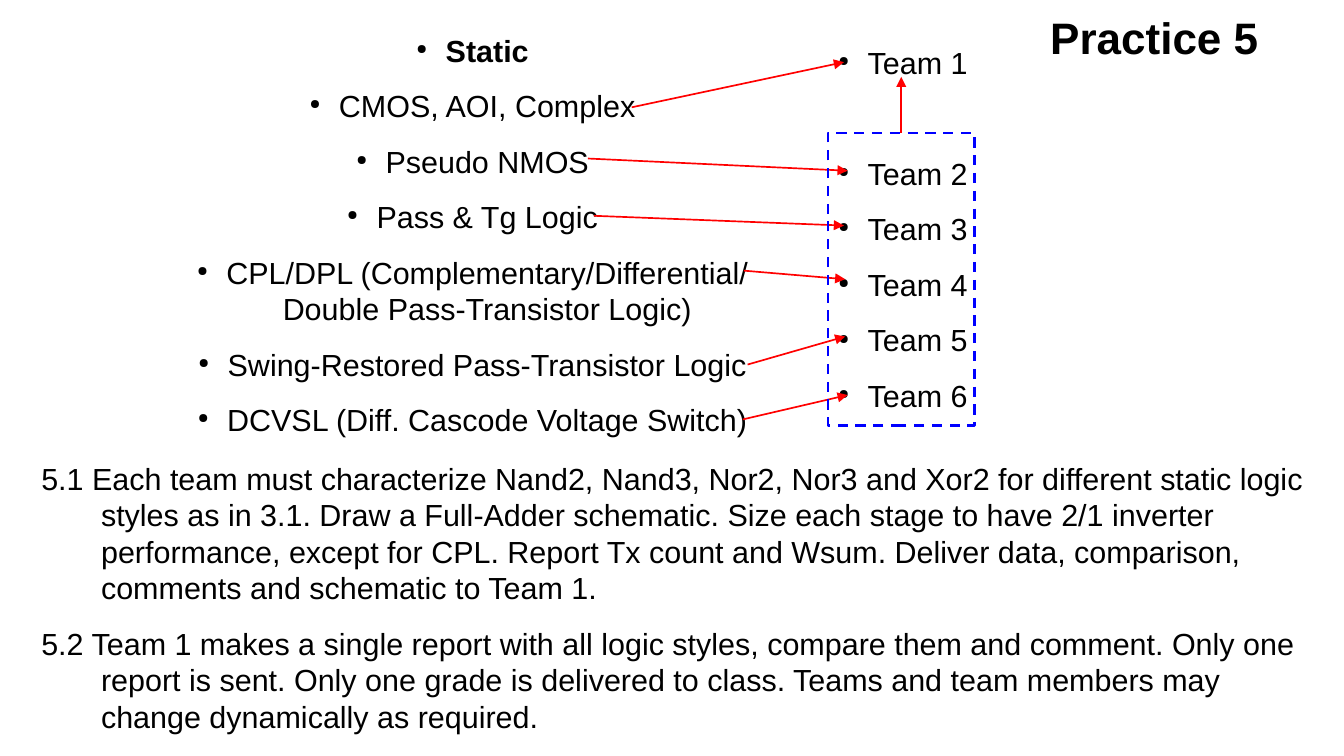
from lxml import etree
from pptx import Presentation
from pptx.dml.color import RGBColor
from pptx.enum.dml import MSO_LINE
from pptx.enum.shapes import MSO_CONNECTOR, MSO_SHAPE
from pptx.enum.text import MSO_ANCHOR, MSO_AUTO_SIZE, PP_ALIGN
from pptx.oxml.ns import qn
from pptx.util import Inches, Pt

STRAIGHT = MSO_CONNECTOR.STRAIGHT
RECTANGLE = MSO_SHAPE.RECTANGLE
DASH = MSO_LINE.DASH
CENTER, LEFT, RIGHT = PP_ALIGN.CENTER, PP_ALIGN.LEFT, PP_ALIGN.RIGHT
MIDDLE = MSO_ANCHOR.MIDDLE
NO_FIT = MSO_AUTO_SIZE.NONE

COLORS = {"text": "000000", "arrow": "FF0000", "frame": "0000FF"}
FONT = "Arial"
LINE_HEIGHT = 21.6
GAP = 11.2

deck = Presentation()
deck.slide_width = Inches(11.02)
deck.slide_height = Inches(6.2)
page = deck.slides.add_slide(deck.slide_layouts[5])


def add_text(bounds, lines, indent, bulleted):
    box = page.shapes.add_textbox(*map(Inches, bounds))
    frame = box.text_frame
    frame.word_wrap = True
    for index, (text, bold, space) in enumerate(lines):
        para = frame.paragraphs[0] if index == 0 else frame.add_paragraph()
        para.alignment = CENTER if bulleted else LEFT
        para.line_spacing = Pt(LINE_HEIGHT)
        para.space_before = Pt(space)
        properties = para._p.get_or_add_pPr()
        properties.set("marL", str(Inches(indent)))
        properties.set("indent", str(-Inches(indent)))
        if bulleted:
            color = etree.SubElement(properties, qn("a:buClr"))
            etree.SubElement(color, qn("a:srgbClr"), val=COLORS["text"])
            etree.SubElement(properties, qn("a:buSzPct"), val="45000")
            etree.SubElement(properties, qn("a:buChar"), char="●")
        span = para.add_run()
        span.text = text
        span.font.name = FONT
        span.font.size = Pt(18)
        span.font.bold = bold
        span.font.color.rgb = RGBColor.from_string(COLORS["text"])


def add_arrow(start_x, start_y, end_x, end_y):
    arrow = page.shapes.add_connector(
        STRAIGHT, Inches(start_x), Inches(start_y), Inches(end_x), Inches(end_y))
    arrow.line.color.rgb = RGBColor.from_string(COLORS["arrow"])
    arrow.line.width = Pt(1)
    etree.SubElement(arrow.line._get_or_add_ln(), qn("a:tailEnd"), type="triangle")
    etree.SubElement(arrow._element.spPr, qn("a:effectLst"))
    return arrow


title = page.shapes.title
title.left, title.top = Inches(0.49), Inches(-0.05)
title.width, title.height = Inches(9.93), Inches(0.77)
title.text_frame.auto_size = NO_FIT
title.text_frame.vertical_anchor = MIDDLE
heading = title.text_frame.paragraphs[0]
heading.alignment = RIGHT
heading.line_spacing = 0.85
span = heading.add_run()
span.text = "Practice 5"
span.font.name = FONT
span.font.size = Pt(26)
span.font.bold = True
span.font.color.rgb = RGBColor.from_string(COLORS["text"])

team_spaces = [0, LINE_HEIGHT + 2 * GAP] + [GAP] * 4
teams = [(f"Team {number}", False, space)
         for number, space in enumerate(team_spaces, start=1)]
add_text((6.44, 0.31, 1.93, 3.14), teams, 0.24, True)

styles = [
    "CMOS, AOI, Complex",
    "Pseudo NMOS",
    "Pass & Tg Logic",
    "CPL/DPL (Complementary/Differential/ Double Pass-Transistor Logic)",
    "Swing-Restored Pass-Transistor Logic",
    "DCVSL (Diff. Cascode Voltage Switch)",
]
style_lines = [("Static", True, 0)] + [(style, False, GAP) for style in styles]
add_text((1.47, 0.21, 4.81, 3.44), style_lines, 0.24, True)

for ends in [
    (5.18, 0.88, 6.92, 0.51),
    (4.82, 1.3, 6.95, 1.4),
    (4.87, 1.77, 6.92, 1.85),
    (6.1, 2.22, 6.93, 2.29),
    (6.13, 2.99, 6.93, 2.76),
    (6.09, 3.44, 6.95, 3.24),
]:
    add_arrow(*ends)

team_frame = page.shapes.add_shape(
    RECTANGLE, Inches(6.79), Inches(1.09), Inches(1.2), Inches(2.4))
team_frame.shadow.inherit = False
team_frame.fill.background()
team_frame.line.color.rgb = RGBColor.from_string(COLORS["frame"])
team_frame.line.width = Pt(1.5)
team_frame.line.dash_style = DASH

report_arrow = add_arrow(7.39, 1.09, 7.39, 0.63)
report_arrow.begin_connect(team_frame, 0)

tasks = [
    ("5.1 Each team must characterize Nand2, Nand3, Nor2, Nor3 and Xor2 for "
     "different static logic styles as in 3.1. Draw a Full-Adder schematic. "
     "Size each stage to have 2/1 inverter performance, except for CPL. "
     "Report Tx count and Wsum. Deliver data, comparison, comments and "
     "schematic to Team 1.", False, 0),
    ("5.2 Team 1 makes a single report with all logic styles, compare them "
     "and comment. Only one report is sent. Only one grade is delivered to "
     "class. Teams and team members may change dynamically as required.",
     False, GAP),
]
add_text((0.24, 3.72, 10.75, 2.36), tasks, 0.49, False)

deck.save("out.pptx")
